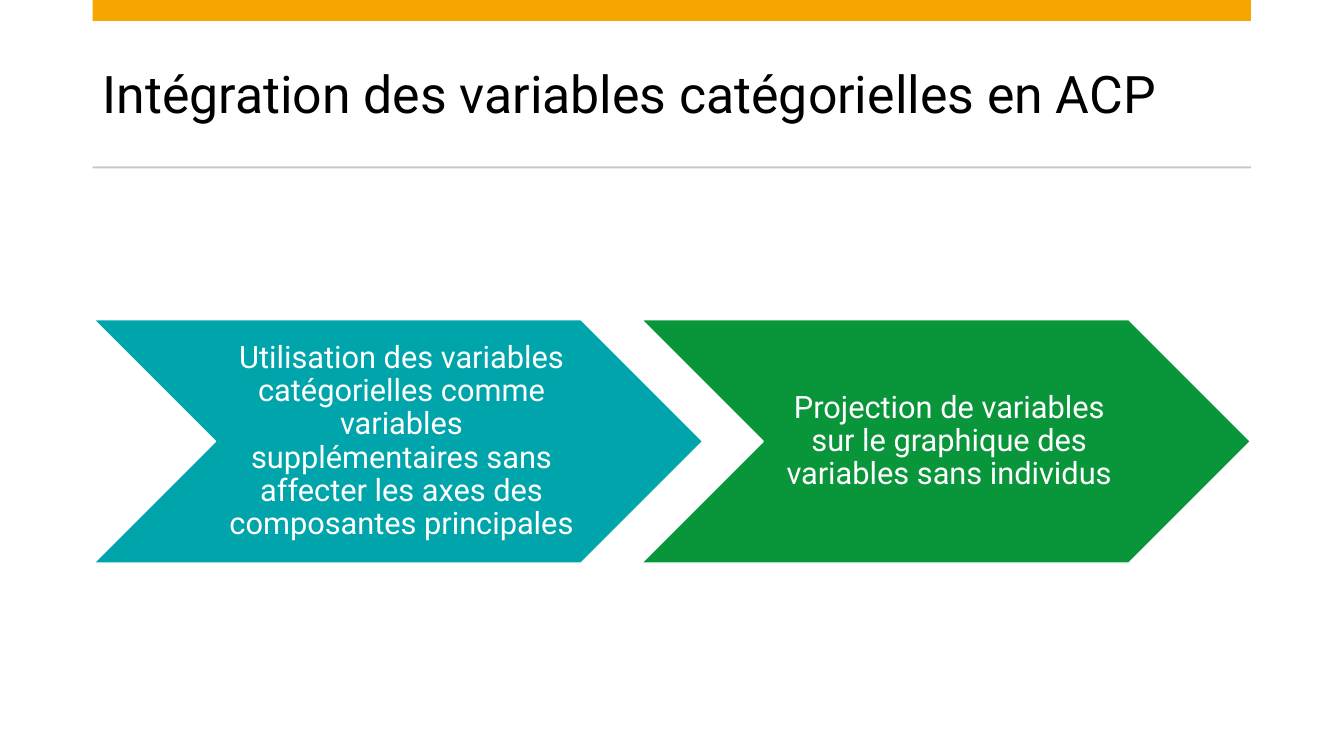
from pptx import Presentation
from pptx.dml.color import RGBColor
from pptx.enum.shapes import MSO_SHAPE
from pptx.enum.text import MSO_ANCHOR, PP_ALIGN
from pptx.util import Pt

BLACK = RGBColor(0x00, 0x00, 0x00)
WHITE = RGBColor(0xFF, 0xFF, 0xFF)
ORANGE = RGBColor(0xF5, 0xA7, 0x00)
GREY = RGBColor(0xC9, 0xC9, 0xC9)
TEAL = RGBColor(0x00, 0xA5, 0xAB)
GREEN = RGBColor(0x09, 0x96, 0x3B)

TITLE = "Intégration des variables catégorielles en ACP"
STEPS = [
    ("Utilisation des variables catégorielles comme variables supplémentaires "
     "sans affecter les axes des composantes principales", TEAL),
    ("Projection de variables sur le graphique des variables sans individus", GREEN),
]
LEFT, WIDTH = 66.24, 827.3
BARS = [(0, 15, ORANGE), (118.8, 1.5, GREY)]
STEP_LEFT, STEP_TOP, STEP_W, STEP_H = 67.1, 228.4, 434.9, 173.8
STEP_PITCH = 391.2
TITLE_INSETS = (7.2, 3.6, 7.2, 3.6)
STEP_INSETS = (6.9, 2.3, 2.3, 2.3)


def add_shape(s, kind, x, y, w, h, fill):
    sp = s.shapes.add_shape(kind, Pt(x), Pt(y), Pt(w), Pt(h))
    sp.shadow.inherit = False
    sp.fill.solid()
    sp.fill.fore_color.rgb = fill
    sp.line.fill.background()
    return sp


def write(sp, text, size, color, align, insets):
    tf = sp.text_frame
    left, top, right, bottom = map(Pt, insets)
    frame = {"word_wrap": True, "vertical_anchor": MSO_ANCHOR.MIDDLE,
             "margin_left": left, "margin_top": top,
             "margin_right": right, "margin_bottom": bottom}
    for name, value in frame.items():
        setattr(tf, name, value)
    p = tf.paragraphs[0]
    p.alignment = align
    p.line_spacing = 0.9
    r = p.add_run()
    r.text = text
    for name, value in {"name": "Roboto", "size": Pt(size), "bold": False}.items():
        setattr(r.font, name, value)
    r.font.color.rgb = color


def main():
    prs = Presentation()
    prs.slide_width, prs.slide_height = Pt(960), Pt(540)
    s = prs.slides.add_slide(prs.slide_layouts[6])

    title = s.shapes.add_textbox(Pt(LEFT), Pt(26.6), Pt(WIDTH), Pt(85))
    write(title, TITLE, 37, BLACK, PP_ALIGN.LEFT, TITLE_INSETS)

    for y, h, fill in BARS:
        add_shape(s, MSO_SHAPE.RECTANGLE, LEFT, y, WIDTH, h, fill)

    for i, (text, fill) in enumerate(STEPS):
        sp = add_shape(s, MSO_SHAPE.CHEVRON, STEP_LEFT + i * STEP_PITCH, STEP_TOP,
                       STEP_W, STEP_H, fill)
        sp.line.color.rgb = WHITE
        sp.line.width = Pt(1)
        write(sp, text, 22, WHITE, PP_ALIGN.CENTER, STEP_INSETS)

    prs.save("out.pptx")


if __name__ == "__main__":
    main()
